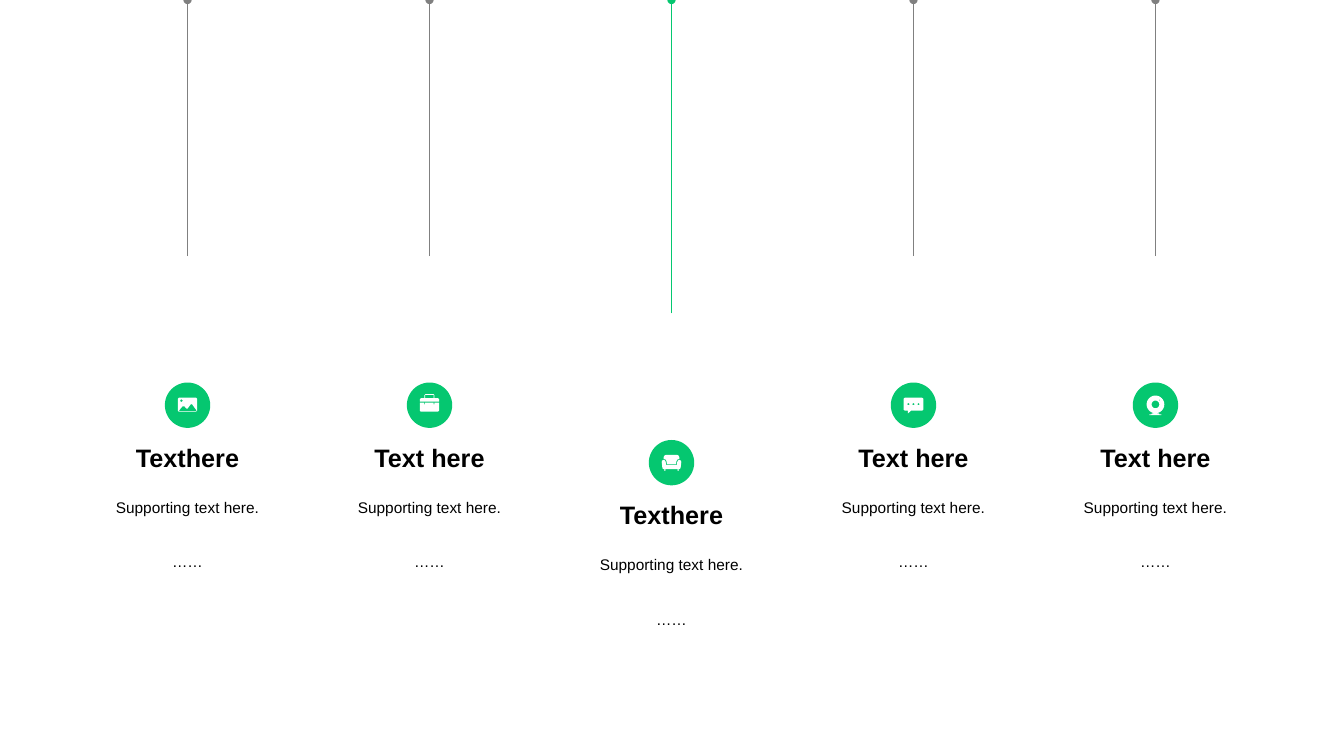
import math
from lxml import etree
from pptx import Presentation, util as u
from pptx.dml.color import RGBColor
from pptx.enum import shapes, text
from pptx.oxml.ns import qn

GREEN, GREY, BLACK, WHITE = "05C770", "808080", "000000", "FFFFFF"
FONT = "Arial"


def ring(x, y, radius, steps=24):
    return [(x + radius * math.cos(math.tau * i / steps),
             y + radius * math.sin(math.tau * i / steps)) for i in range(steps)]


def box(left, top, right, bottom, cut=0):
    """Rectangle with cut corners."""
    return [(left + cut, top), (right - cut, top), (right, top + cut), (right, bottom - cut),
            (right - cut, bottom), (left + cut, bottom), (left, bottom - cut), (left, top + cut)]


# Icon outlines in hundredths of an inch from the badge centre
PHOTO = [box(-9.5, -7.5, 9.5, 6.5, 1), ring(-6, -4.5, 1.2),
         [(4.5, -1), (3.2, -0.8), (0, 3.5), (-1, 3.5), (-3, 1.2), (-5, 1.2),
          (-8.3, 5.2), (-8, 5.9), (8.8, 5.9), (9, 5.2)]]
BRIEFCASE = [[(-9.5, -2.5), (-5, -2.5), (-5, -0.8), (-4.2, -0.8), (-4.2, -2.5),
              (4.2, -2.5), (4.2, -0.8), (5, -0.8), (5, -2.5), (9.5, -2.5),
              (9.5, 5.5), (8.5, 6.5), (-8.5, 6.5), (-9.5, 5.5)],
             [(-9.5, -3.5), (-9.5, -6), (-8.5, -7), (-5, -7), (-5, -10), (-4, -11), (4, -11),
              (5, -10), (5, -7), (8.5, -7), (9.5, -6), (9.5, -3.5)],
             box(-4.2, -10.2, 4.2, -7)]
SOFA = [[(-8, -2.8), (-6.5, -2.2), (-5.8, -1), (-5.3, 2.5), (5.3, 2.5), (5.8, -1), (6.5, -2.2),
         (8, -2.8), (9.5, -1.8), (9.7, -0.5), (9, 5.5), (8, 6.5), (7, 6.5), (7, 8.2), (6, 8.2),
         (6, 6.5), (-6, 6.5), (-6, 8.2), (-7, 8.2), (-7, 6.5), (-8, 6.5), (-9, 5.5),
         (-9.7, -0.5), (-9.5, -1.8)],
        [(-5.5, -7.7), (5.5, -7.7), (7, -7), (7.7, -5.5), (7.7, -3.8), (5.5, -2.8), (4.8, -1),
         (4.5, 1.7), (-4.5, 1.7), (-4.8, -1), (-5.5, -2.8), (-7.7, -3.8), (-7.7, -5.5), (-7, -7)]]
CHAT = [[(-8.5, -7.5), (8.5, -7.5), (9.7, -6.5), (9.7, 4.5), (8.5, 5.5), (-2.5, 5.5),
         (-5.5, 8.2), (-5.5, 5.5), (-8.5, 5.5), (-9.7, 4.5), (-9.7, -6.5)],
        *[ring(x, -1, 1) for x in (-5, 0, 5)]]
WEBCAM = [ring(0, -0.8, 8.8), ring(0, -0.8, 3.8), ring(4, -5, 0.5),
          [(-3.5, 8.2), (3.5, 8.2), (4, 9), (6, 9), (6, 9.8), (-6, 9.8), (-6, 9), (-4, 9)]]

# Title, icon, line colour, drop below the common row
COLUMNS = [("Texthere", PHOTO, GREY, 0),
           ("Text here", BRIEFCASE, GREY, 0),
           ("Texthere", SOFA, GREEN, 0.57),
           ("Text here", CHAT, GREY, 0),
           ("Text here", WEBCAM, GREY, 0)]
SUPPORT = ["Supporting text here.", "……"]
FIRST_CENTRE, PITCH, TEXT_WIDTH, BADGE = 1.86, 2.4, 2.28, 0.45
LINE_END, BADGE_CENTRE, TITLE_TOP, SUPPORT_TOP = 2.54, 4.02, 4.21, 4.8


def colour(value):
    return RGBColor.from_string(value)


def paint(shape, value):
    shape.shadow.inherit = False
    shape.fill.solid()
    shape.fill.fore_color.rgb = colour(value)
    shape.line.fill.background()


def add_text(slide, centre, top, height, lines, size, spacing, bold=False):
    shape = slide.shapes.add_textbox(u.Inches(centre - TEXT_WIDTH / 2), u.Inches(top),
                                     u.Inches(TEXT_WIDTH), u.Inches(height))
    frame = shape.text_frame
    frame.word_wrap = True
    frame.text = "\n".join(lines)
    for index, paragraph in enumerate(frame.paragraphs):
        paragraph.alignment = text.PP_ALIGN.CENTER
        paragraph.line_spacing = spacing
        if index:
            paragraph.space_before = u.Pt(19)
        for run in paragraph.runs:
            run.font.name, run.font.size, run.font.bold = FONT, u.Pt(size), bold
            run.font.color.rgb = colour(BLACK)
    return frame


def add_hanging_line(slide, centre, bottom, value):
    line = slide.shapes.add_connector(shapes.MSO_CONNECTOR.STRAIGHT, u.Inches(centre),
                                      u.Inches(bottom), u.Inches(centre), 0)
    line.line.color.rgb = colour(value)
    line.line.width = u.Pt(0.25)
    etree.SubElement(line.line._get_or_add_ln(), qn("a:tailEnd"), type="oval")
    etree.SubElement(line._element.spPr, qn("a:effectLst"))


def add_badge(slide, centre, middle, outlines):
    group = slide.shapes.add_group_shape()
    disc = group.shapes.add_shape(shapes.MSO_SHAPE.OVAL, u.Inches(centre - BADGE / 2),
                                  u.Inches(middle - BADGE / 2), u.Inches(BADGE), u.Inches(BADGE))
    paint(disc, GREEN)
    # Outlines are scaled to thousandths of an inch
    contours = [[(x * 10, y * 10) for x, y in outline] for outline in outlines]
    builder = group.shapes.build_freeform(*contours[0][0], scale=u.Inches(0.001))
    builder.add_line_segments(contours[0][1:], close=True)
    for contour in contours[1:]:
        builder.move_to(*contour[0])
        builder.add_line_segments(contour[1:], close=True)
    paint(builder.convert_to_shape(u.Inches(centre), u.Inches(middle)), WHITE)


def main():
    presentation = Presentation()
    presentation.slide_width, presentation.slide_height = u.Inches(13.33), u.Inches(7.5)
    slide = presentation.slides.add_slide(presentation.slide_layouts[6])
    for index, (title, icon, line_colour, drop) in enumerate(COLUMNS):
        centre = FIRST_CENTRE + index * PITCH
        add_hanging_line(slide, centre, LINE_END + drop, line_colour)
        heading = add_text(slide, centre, TITLE_TOP + drop, 0.59, [title], 18, 1.2, True)
        heading.vertical_anchor = text.MSO_ANCHOR.MIDDLE
        add_text(slide, centre, SUPPORT_TOP + drop, 1.34, SUPPORT, 11, 1.5)
        add_badge(slide, centre, BADGE_CENTRE + drop, icon)
    presentation.save("out.pptx")


if __name__ == "__main__":
    main()
